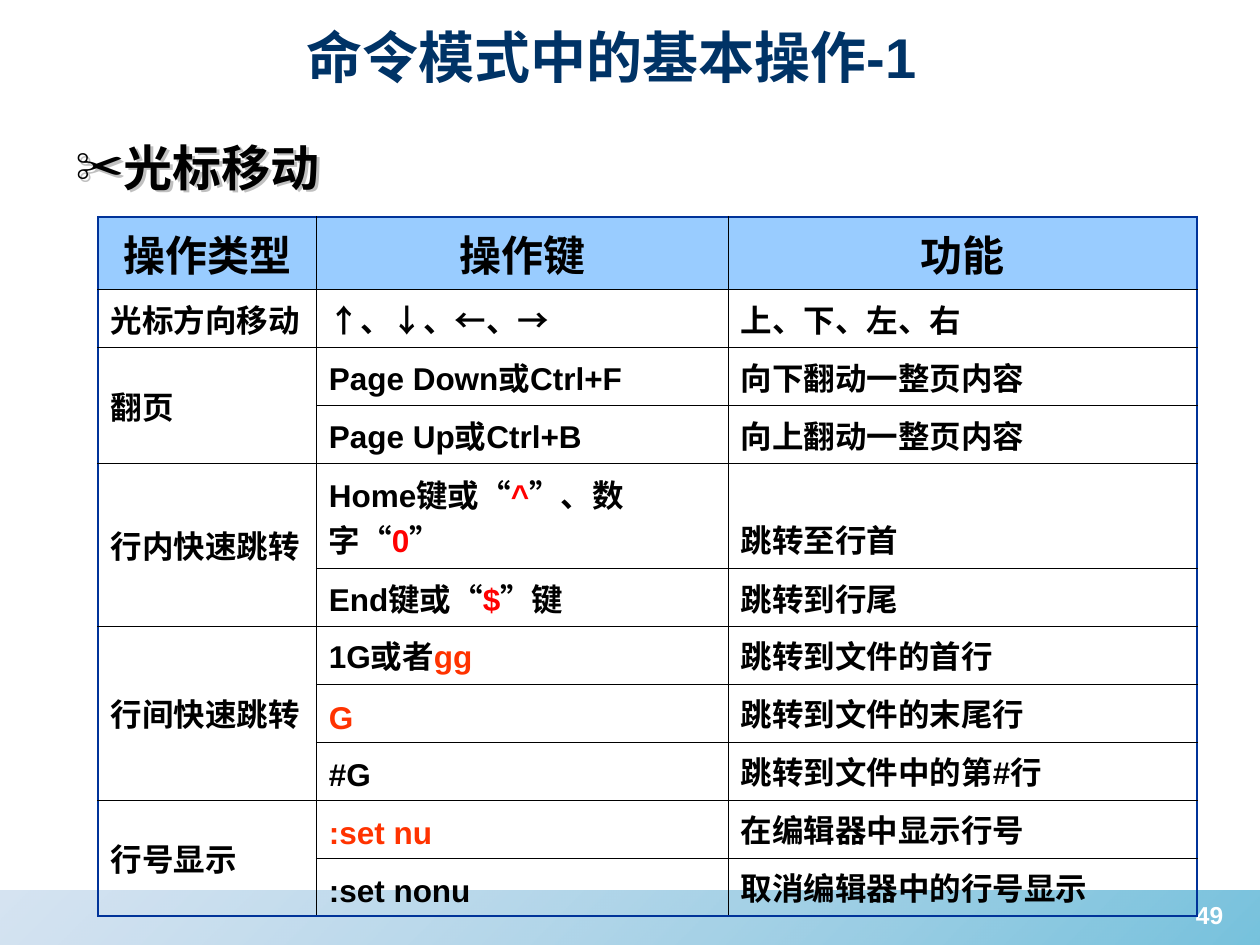
from lxml import etree
from pptx import Presentation
from pptx.dml.color import RGBColor
from pptx.enum.shapes import MSO_SHAPE
from pptx.enum.text import MSO_ANCHOR, MSO_AUTO_SIZE, PP_ALIGN
from pptx.oxml.ns import qn
from pptx.util import Inches, Pt

LEFT, CENTER = PP_ALIGN.LEFT, PP_ALIGN.CENTER
MIDDLE, BOTTOM = MSO_ANCHOR.MIDDLE, MSO_ANCHOR.BOTTOM
BLACK = RGBColor(0x00, 0x00, 0x00)
WHITE = RGBColor(0xFF, 0xFF, 0xFF)
NAVY = RGBColor(0x00, 0x33, 0x66)
SHADOW_GRAY = RGBColor(0xC0, 0xC0, 0xC0)
FRAME_BLUE = RGBColor(0x00, 0x33, 0x99)
HEADER_BLUE = RGBColor(0x99, 0xCC, 0xFF)
RED = RGBColor(0xFF, 0x00, 0x00)
ORANGE = RGBColor(0xFF, 0x33, 0x00)
BAND_LEFT = RGBColor(0x88, 0xB0, 0xD8)
BAND_RIGHT = RGBColor(0x1C, 0x99, 0xC6)


def write(paragraph, pieces, size, color=BLACK, align=LEFT):
    paragraph.alignment = align
    for text, piece_color in pieces:
        run = paragraph.add_run()
        run.text = text
        run.font.color.rgb = piece_color or color
        for key, value in {"name": "Arial", "size": Pt(size), "bold": True}.items():
            setattr(run.font, key, value)


def add_border(cell, side, color, width):
    line = etree.SubElement(cell._tc.get_or_add_tcPr(), qn(f"a:ln{side}"), w=str(Pt(width)))
    fill = etree.SubElement(line, qn("a:solidFill"))
    etree.SubElement(fill, qn("a:srgbClr"), val=str(color))


prs = Presentation()
prs.slide_width, prs.slide_height = Inches(10), Inches(7.5)
slide = prs.slides.add_slide(prs.slide_layouts[5])

band = slide.shapes.add_shape(MSO_SHAPE.RECTANGLE, Inches(0), Inches(7.07), Inches(10), Inches(0.43))
band.shadow.inherit = False
band.line.fill.background()
band.fill.gradient()
band.fill.gradient_angle = 315
for stop, color in zip(band.fill.gradient_stops, (BAND_LEFT, BAND_RIGHT)):
    stop.color.rgb = color
for color_element, opacity in zip(band._element.spPr.iter(qn("a:srgbClr")), (35, 60)):
    etree.SubElement(color_element, qn("a:alpha"), val=str(opacity * 1000))

page_number = slide.shapes.add_textbox(Inches(9.24), Inches(7.09), Inches(0.72), Inches(0.52))
page_number.text_frame.word_wrap = True
write(page_number.text_frame.paragraphs[0], [("49", None)], 14, WHITE, CENTER)

title = slide.shapes.title
title.left, title.top, title.width, title.height = map(Inches, (2.33, 0.13, 6.93, 0.63))
title.text_frame.vertical_anchor = MIDDLE
title.text_frame.auto_size = MSO_AUTO_SIZE.SHAPE_TO_FIT_TEXT
write(title.text_frame.paragraphs[0], [("命令模式中的基本操作-1", None)], 32, NAVY)

topic = slide.shapes.add_textbox(Inches(0.5), Inches(1.04), Inches(9.23), Inches(0.66))
topic.text_frame.word_wrap = True
topic_line = topic.text_frame.paragraphs[0]
topic_format = topic_line._p.get_or_add_pPr()
topic_format.set("marL", str(Inches(0.38)))
topic_format.set("indent", str(-Inches(0.38)))
bullet_color = etree.SubElement(topic_format, qn("a:buClr"))
etree.SubElement(bullet_color, qn("a:srgbClr"), val=str(BLACK))
etree.SubElement(topic_format, qn("a:buFont"), typeface="Arial")
etree.SubElement(topic_format, qn("a:buChar"), char="✂")
write(topic_line, [("光标移动", None)], 28)
effects = etree.SubElement(topic._element.spPr, qn("a:effectLst"))
text_shadow = etree.SubElement(effects, qn("a:outerShdw"), dist=str(Pt(2)), dir="2700000")
etree.SubElement(text_shadow, qn("a:srgbClr"), val=str(SHADOW_GRAY))

HEADINGS = ["操作类型", "操作键", "功能"]
GROUPS = [
    ("光标方向移动", [
        ([("↑、↓、←、→", None)], "上、下、左、右"),
    ]),
    ("翻页", [
        ([("Page Down或Ctrl+F", None)], "向下翻动一整页内容"),
        ([("Page Up或Ctrl+B", None)], "向上翻动一整页内容"),
    ]),
    ("行内快速跳转", [
        ([("Home键或“", None), ("^", RED), ("”、数字“", None), ("0", RED), ("”", None)], "跳转至行首"),
        ([("End键或“", None), ("$", RED), ("”键", None)], "跳转到行尾"),
    ]),
    ("行间快速跳转", [
        ([("1G或者", None), ("gg", ORANGE)], "跳转到文件的首行"),
        ([("G", ORANGE)], "跳转到文件的末尾行"),
        ([("#G", None)], "跳转到文件中的第#行"),
    ]),
    ("行号显示", [
        ([(":set nu", ORANGE)], "在编辑器中显示行号"),
        ([(":set nonu", None)], "取消编辑器中的行号显示"),
    ]),
]
COLUMN_WIDTHS = [1.73, 3.27, 3.72]
ROW_HEIGHTS = [0.58] + [0.46] * 3 + [0.83] + [0.46] * 6
last_row, last_column = len(ROW_HEIGHTS) - 1, len(COLUMN_WIDTHS) - 1
last_group_row = last_row - len(GROUPS[-1][1]) + 1

commands = slide.shapes.add_table(
    len(ROW_HEIGHTS), len(COLUMN_WIDTHS), Inches(0.78), Inches(1.72),
    Inches(sum(COLUMN_WIDTHS)), Inches(sum(ROW_HEIGHTS))).table
commands.first_row = commands.horz_banding = False
for column, width in zip(commands.columns, COLUMN_WIDTHS):
    column.width = Inches(width)
for row, height in zip(commands.rows, ROW_HEIGHTS):
    row.height = Inches(height)

for row in range(last_row + 1):
    for column in range(last_column + 1):
        cell = commands.cell(row, column)
        bottom_row = last_group_row if column == 0 else last_row
        outer_sides = {"L": column == 0, "R": column == last_column, "T": row == 0, "B": row >= bottom_row}
        for side, is_outer in outer_sides.items():
            add_border(cell, side, *((FRAME_BLUE, 1.08) if is_outer else (BLACK, 0.45)))
        cell.vertical_anchor = MIDDLE if row and column == 0 else BOTTOM
        if row == 0:
            cell.fill.solid()
            cell.fill.fore_color.rgb = HEADER_BLUE
        else:
            cell.fill.background()

for column, heading in enumerate(HEADINGS):
    write(commands.cell(0, column).text_frame.paragraphs[0], [(heading, None)], 24, align=CENTER)

row = 1
for category, operations in GROUPS:
    category_cell = commands.cell(row, 0)
    if len(operations) > 1:
        category_cell.merge(commands.cell(row + len(operations) - 1, 0))
    write(category_cell.text_frame.paragraphs[0], [(category, None)], 18)
    for keys, effect in operations:
        write(commands.cell(row, 1).text_frame.paragraphs[0], keys, 18)
        write(commands.cell(row, 2).text_frame.paragraphs[0], [(effect, None)], 18)
        row += 1

prs.save("out.pptx")
